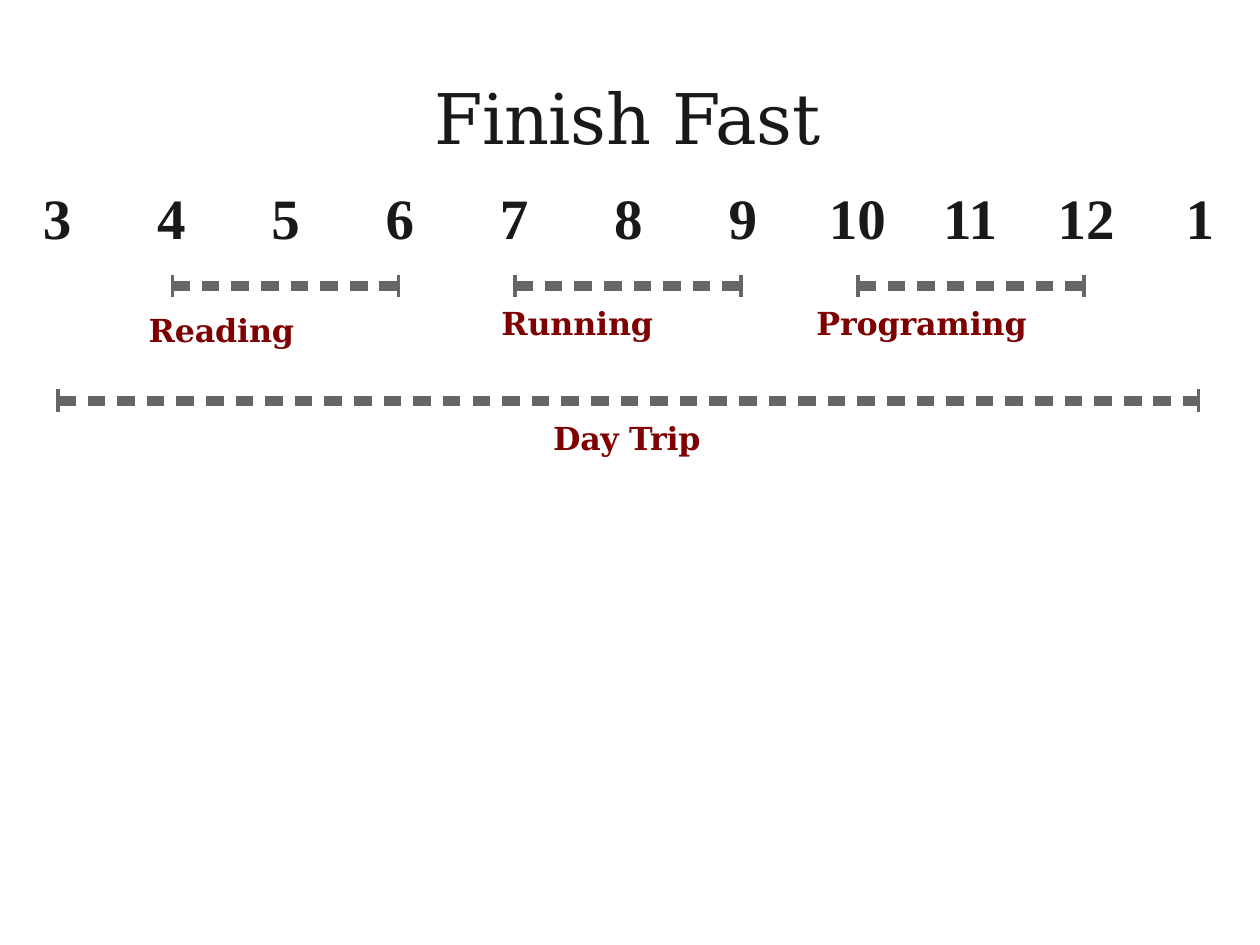
"""Build the "Finish Fast" schedule slide with its hour scale and activity spans."""
from dataclasses import dataclass
from math import ceil

from lxml.etree import SubElement
from pptx import Presentation
from pptx.dml.color import RGBColor
from pptx.enum.shapes import MSO_CONNECTOR
from pptx.enum.text import MSO_ANCHOR, MSO_AUTO_SIZE, PP_ALIGN
from pptx.oxml.ns import qn
from pptx.util import Inches, Pt

INK = RGBColor(0x19, 0x19, 0x19)
MAROON = RGBColor(0x7F, 0x00, 0x00)
GRAY = RGBColor(0x66, 0x66, 0x66)
SERIF = "DejaVu Serif"
TIMES = "Times New Roman"

HOURS = ["3", "4", "5", "6", "7", "8", "9", "10", "11", "12", "1"]
HOUR_STEP = 0.907
SCALE_LEFT = 0.46
WIDE_HOUR_SHIFT = 0.11
DASH, DASH_STEP = 0.14, 0.235
CAP_HEIGHT = 0.18
SPAN_TRIM = 0.02


@dataclass(frozen=True)
class Span:
    first: int
    last: int
    y: float


@dataclass(frozen=True)
class Label:
    text: str
    left: float
    top: float
    width: float
    tracking: float


SPANS = [Span(7, 9, 2.27), Span(1, 3, 2.27), Span(4, 6, 2.27), Span(0, 10, 3.18)]
LABELS = [
    Label("Programing", 6.47, 2.39, 2.47, -0.1),
    Label("Running", 3.97, 2.39, 2.03, -0.1),
    Label("Day Trip", 4.38, 3.30, 1.22, -0.2),
]


def set_frame(frame, top_inset: float) -> None:
    """Give a text frame its wrapping, anchor and insets."""
    frame.word_wrap = True
    frame.auto_size = MSO_AUTO_SIZE.NONE
    frame.vertical_anchor = MSO_ANCHOR.TOP
    frame.margin_left, frame.margin_top = Inches(0.01), Inches(top_inset)
    frame.margin_right = frame.margin_bottom = 0


def write(paragraph, text: str, face: str, size: float, color: RGBColor,
          bold: bool, tracking: float = 0) -> None:
    """Fill a paragraph with one formatted run."""
    run = paragraph.add_run()
    run.text = text
    if tracking:
        run._r.get_or_add_rPr().set("spc", str(round(tracking * 100)))
    paragraph.alignment = PP_ALIGN.LEFT
    font = paragraph.font
    font.name, font.size, font.bold = face, Pt(size), bold
    font.color.rgb = color


def add_line(slide, x1: float, y1: float, x2: float, y2: float, width: float) -> None:
    """Draw a plain gray line."""
    line = slide.shapes.add_connector(
        MSO_CONNECTOR.STRAIGHT, Inches(x1), Inches(y1), Inches(x2), Inches(y2))
    line.line.color.rgb = GRAY
    line.line.width = Pt(width)
    SubElement(line._element.spPr, qn("a:effectLst"))


def add_span(slide, span: Span) -> None:
    """Draw a dashed bar between two hours with a cap at each end."""
    start = SCALE_LEFT + HOUR_STEP * span.first
    end = SCALE_LEFT + HOUR_STEP * span.last - SPAN_TRIM
    for index in range(ceil((end - start) / DASH_STEP)):
        left = start + index * DASH_STEP
        add_line(slide, left, span.y, min(left + DASH, end), span.y, 5.8)
    for x in (start, end):
        add_line(slide, x, span.y - CAP_HEIGHT / 2, x, span.y + CAP_HEIGHT / 2, 1.9)


def add_label(slide, label: Label) -> None:
    """Write the name of an activity under its span."""
    box = slide.shapes.add_textbox(
        Inches(label.left), Inches(label.top), Inches(label.width), Inches(0.32))
    set_frame(box.text_frame, 0.02)
    write(box.text_frame.paragraphs[0], label.text, SERIF, 18.1, MAROON, True,
          label.tracking)


def add_hours(slide) -> None:
    """Write the hour scale on tab stops, with the first activity below it."""
    box = slide.shapes.add_textbox(Inches(0.33), Inches(1.39), Inches(9.32), Inches(1.35))
    frame = box.text_frame
    set_frame(frame, 0.06)
    scale = frame.paragraphs[0]
    stops = SubElement(scale._p.get_or_add_pPr(), qn("a:tabLst"))
    for index, hour in enumerate(HOURS[1:], start=1):
        position = HOUR_STEP * index - WIDE_HOUR_SHIFT * (len(hour) - 1)
        SubElement(stops, qn("a:tab"), pos=str(Inches(position)), algn="l")
    write(scale, "\t".join(HOURS), TIMES, 32.6, INK, True)
    reading = frame.add_paragraph()
    reading._p.get_or_add_pPr().set("marL", str(Inches(0.84)))
    reading.space_before = Pt(34)
    write(reading, "Reading", SERIF, 18.1, MAROON, True, -0.1)


def main() -> None:
    """Assemble and save the slide."""
    deck = Presentation()
    deck.slide_width, deck.slide_height = Inches(10), Inches(7.5)
    slide = deck.slides.add_slide(deck.slide_layouts[5])
    title = slide.shapes.title
    title.left, title.top = Inches(3.44), Inches(0.55)
    title.width, title.height = Inches(3.12), Inches(0.68)
    set_frame(title.text_frame, 0.04)
    write(title.text_frame.paragraphs[0], "Finish Fast", SERIF, 39.9, INK, False, -0.3)
    for span in SPANS:
        add_span(slide, span)
    add_hours(slide)
    for label in LABELS:
        add_label(slide, label)
    deck.save("out.pptx")


if __name__ == "__main__":
    main()
